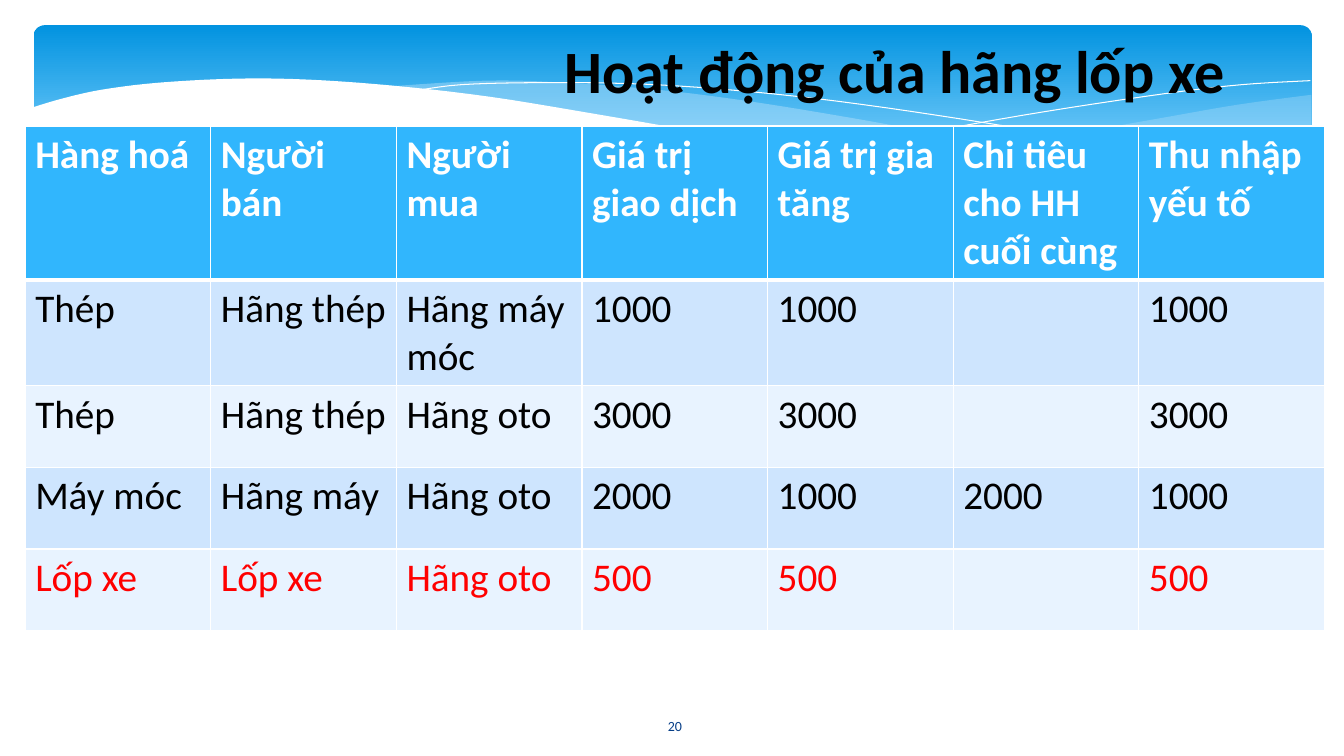
from dataclasses import dataclass

import lxml.etree
import pptx
import pptx.dml.color
import pptx.enum.shapes
import pptx.enum.text
import pptx.oxml.ns
import pptx.util

qn = pptx.oxml.ns.qn
PP_ALIGN = pptx.enum.text.PP_ALIGN
ANCHOR = pptx.enum.text.MSO_ANCHOR


@dataclass(frozen=True)
class Theme:
    font: str = "Calibri"
    title_size: float = 42.9
    table_size: float = 28
    number_size: float = 10
    black: str = "000000"
    white: str = "FFFFFF"
    red: str = "FF0000"
    navy: str = "073E87"
    band_top: str = "0293E0"
    band_bottom: str = "83D3FE"
    veil: str = "C6E7FC"
    header: str = "31B6FD"
    stripes: tuple = ("CEE5FE", "E8F3FF")


def rgb(color):
    return pptx.dml.color.RGBColor.from_string(color)


def smooth(points, steps=5):
    padded = [points[0], *points, points[-1]]
    curve = []
    for a, b, c, d in zip(padded, padded[1:], padded[2:], padded[3:]):
        for step in range(steps):
            t = step / steps
            curve.append(tuple(
                q + t / 2 * (r - p + t * (2 * p - 5 * q + 4 * r - s + t * (3 * (q - r) + s - p)))
                for p, q, r, s in zip(a, b, c, d)))
    return curve + [points[-1]]


class SlideBuilder:
    COLUMNS, ROWS = 40, 30

    def __init__(self, deck, theme):
        self.theme = theme
        self.column = deck.slide_width / self.COLUMNS
        self.row = deck.slide_height / self.ROWS
        self.slide = deck.slides.add_slide(deck.slide_layouts[5])
        self.shapes = self.slide.shapes

    def place(self, x, y, width, height):
        return (round(x * self.column), round(y * self.row),
                round(width * self.column), round(height * self.row))

    def style(self, paragraph, size, color, bold=False, align=PP_ALIGN.LEFT):
        paragraph.alignment = align
        font = paragraph.font
        font.name, font.size, font.bold = self.theme.font, pptx.util.Pt(size), bold
        font.color.rgb = rgb(color)

    def band(self, *box):
        band = self.shapes.add_shape(
            pptx.enum.shapes.MSO_SHAPE.ROUNDED_RECTANGLE, *self.place(*box))
        band.adjustments[0] = 0.071
        band.shadow.inherit = False
        band.line.fill.background()
        band.fill.gradient()
        band.fill.gradient_angle = 270
        top, bottom = band.fill.gradient_stops
        top.position, top.color.rgb = 0, rgb(self.theme.band_top)
        bottom.position, bottom.color.rgb = 0.9, rgb(self.theme.band_bottom)

    def outline(self, points, close):
        spots = [(round(x * self.column), round(y * self.row)) for x, y in points]
        pen = self.shapes.build_freeform(*spots[0])
        pen.add_line_segments(spots[1:], close=close)
        outline = pen.convert_to_shape()
        outline.shadow.inherit = False
        return outline

    def wave(self, points, color, opacity=100):
        wave = self.outline(points, True)
        wave.line.fill.background()
        wave.fill.solid()
        wave.fill.fore_color.rgb = rgb(color)
        if opacity < 100:
            tint = wave.fill._xPr.find(qn("a:solidFill"))[0]
            lxml.etree.SubElement(tint, qn("a:alpha")).set("val", str(opacity * 1000))

    def thread(self, points):
        thread = self.outline(smooth(points), False)
        thread.fill.background()
        thread.line.color.rgb = rgb(self.theme.white)
        thread.line.width = pptx.util.Pt(0)

    def title(self, text, *box):
        title = self.shapes.title
        self.shapes._spTree.append(title._element)
        title.left, title.top, title.width, title.height = self.place(*box)
        frame = title.text_frame
        frame.text = text
        frame.word_wrap = True
        frame.auto_size = pptx.enum.text.MSO_AUTO_SIZE.NONE
        frame.vertical_anchor = ANCHOR.TOP
        self.style(frame.paragraphs[0], self.theme.title_size, self.theme.black,
                   True, PP_ALIGN.CENTER)

    def page_number(self, text, *box):
        frame = self.shapes.add_textbox(*self.place(*box)).text_frame
        frame.text = text
        frame.word_wrap = True
        frame.vertical_anchor = ANCHOR.MIDDLE
        self.style(frame.paragraphs[0], self.theme.number_size, self.theme.navy,
                   align=PP_ALIGN.CENTER)

    def border(self, cell, widths):
        properties = cell._tc.get_or_add_tcPr()
        for index, (side, width) in enumerate(zip("LRTB", widths)):
            line = lxml.etree.Element(qn(f"a:ln{side}"), w=str(pptx.util.Pt(width)))
            fill = lxml.etree.SubElement(line, qn("a:solidFill"))
            lxml.etree.SubElement(fill, qn("a:srgbClr")).set("val", self.theme.white)
            properties.insert(index, line)

    def table(self, records, x, y, width, heights):
        theme = self.theme
        table = self.shapes.add_table(
            len(records), len(records[0]), *self.place(x, y, width, sum(heights))).table
        for r, (record, height) in enumerate(zip(records, heights)):
            table.rows[r].height = round(height * self.row)
            ink = theme.white if r == 0 else theme.red if r == len(records) - 1 else theme.black
            for c, text in enumerate(record):
                cell = table.cell(r, c)
                cell.text = text
                cell.fill.solid()
                cell.fill.fore_color.rgb = rgb(theme.stripes[(r - 1) % 2] if r else theme.header)
                self.style(cell.text_frame.paragraphs[0], theme.table_size, ink, r == 0)
                self.border(cell, (1, 1, 3 if r == 1 else 1, 3 if r == 0 else 1))


RIGHT_VEIL_TOP = [(39.03, 3.76), (36.81, 4.16), (34.41, 4.72), (31.14, 5.48),
                  (28.23, 6.08), (26.46, 6.4)]
RIGHT_VEIL_BOTTOM = [(26.46, 6.4), (28.74, 6.68), (30.75, 6.84), (32.97, 6.88),
                     (35.22, 6.68), (37.14, 6.32), (39.03, 5.68)]
LEFT_VEIL_TOP = [(35.7, 6.68), (32.28, 6.16), (28.23, 5.36), (25.17, 4.64), (22.2, 4),
                 (19.56, 3.56), (16.8, 3.28), (14.46, 3.2), (11.46, 3.44)]
LEFT_VEIL_BOTTOM = [(11.46, 3.44), (13.68, 3.76), (16.17, 4.24), (19.62, 5.04),
                    (22.65, 5.72), (26.01, 6.32), (28.89, 6.72), (31.83, 6.92),
                    (33.93, 6.88), (35.7, 6.68)]
FALLING_THREAD = [(12.36, 3.6), (13.74, 3.36), (16.05, 3.28), (18.75, 3.32), (21.3, 3.52),
                  (24.33, 3.92), (27.81, 4.56), (31.8, 5.44), (36.3, 6.64)]
RISING_THREAD = [(24.54, 6.04), (27.81, 5.2), (31.05, 4.44), (34.65, 3.72),
                 (36.96, 3.36), (39, 3.2)]
WHITE_CREST = [(0.93, 4.28), (1.83, 3.92), (3.03, 3.56), (4.74, 3.28), (7.05, 3.12),
               (9.18, 3.16), (11.7, 3.4), (14.58, 3.84), (17.88, 4.56), (21.18, 5.32),
               (24.12, 5.96), (27.54, 6.48), (30.45, 6.8), (32.91, 6.84), (35.01, 6.68),
               (37.2, 6.28), (39.06, 5.64)]
WHITE_BASE = [(39.06, 8.94), (0.93, 8.94)]

TRANSACTIONS = [
    ["Hàng hoá", "Người bán", "Người mua", "Giá trị giao dịch", "Giá trị gia tăng",
     "Chi tiêu cho HH cuối cùng", "Thu nhập yếu tố"],
    ["Thép", "Hãng thép", "Hãng máy móc", "1000", "1000", "", "1000"],
    ["Thép", "Hãng thép", "Hãng oto", "3000", "3000", "", "3000"],
    ["Máy móc", "Hãng máy", "Hãng oto", "2000", "1000", "2000", "1000"],
    ["Lốp xe", "Lốp xe", "Hãng oto", "500", "500", "", "500"],
]


def main():
    deck = pptx.Presentation()
    deck.slide_width, deck.slide_height = pptx.util.Inches(13.33), pptx.util.Inches(7.5)
    theme = Theme()
    tyres = SlideBuilder(deck, theme)
    tyres.band(1, 1, 38.04, 6.24)
    tyres.wave(smooth(RIGHT_VEIL_TOP) + smooth(RIGHT_VEIL_BOTTOM), theme.veil, 29)
    tyres.wave(smooth(LEFT_VEIL_TOP) + smooth(LEFT_VEIL_BOTTOM), theme.veil, 40)
    tyres.thread(FALLING_THREAD)
    tyres.thread(RISING_THREAD)
    tyres.wave(smooth(WHITE_CREST) + WHITE_BASE, theme.white)
    tyres.page_number("20", 17.55, 28, 5.07, 1.6)
    tyres.title("Hoạt động của hãng lốp xe", 12.24, 1.12, 28.77, 5.48)
    tyres.table(TRANSACTIONS, 0.75, 5, 38.67, [6.08, 4.2, 3.24, 3.24, 3.24])
    deck.save("out.pptx")


if __name__ == "__main__":
    main()
